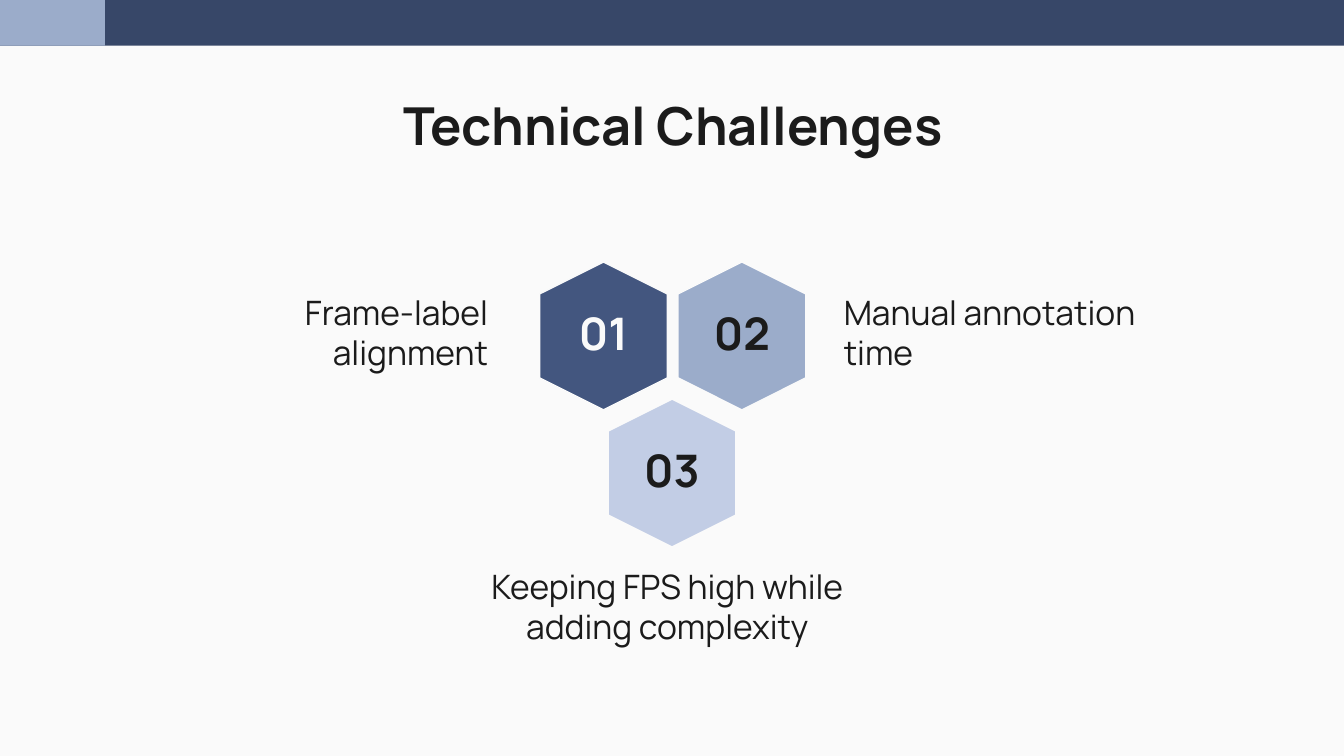
from pptx import Presentation
from pptx.dml.color import RGBColor
from pptx.enum.shapes import MSO_SHAPE
from pptx.enum.text import MSO_ANCHOR, MSO_AUTO_SIZE, PP_ALIGN
from pptx.util import Inches, Pt

RECTANGLE, HEXAGON = MSO_SHAPE.RECTANGLE, MSO_SHAPE.HEXAGON
TOP, BOTTOM = MSO_ANCHOR.TOP, MSO_ANCHOR.BOTTOM
LEFT, CENTER, RIGHT = PP_ALIGN.LEFT, PP_ALIGN.CENTER, PP_ALIGN.RIGHT
NO_FIT = MSO_AUTO_SIZE.NONE

FONT = "Manrope"
COLORS = {
    "paper": "FAFAFA",
    "ink": "1B1B1B",
    "bar": "374768",
    "dark": "43567F",
    "medium": "9BACCA",
    "light": "C2CDE5",
}

SLIDE_WIDTH = 10
SLIDE_HEIGHT = SLIDE_WIDTH * 9 / 16
TITLE = "Technical Challenges"
TITLE_AREA = (0.79, 0.59, 8.43, 0.63)
BARS = [(SLIDE_WIDTH, "bar"), (0.78, "medium")]
BAR_HEIGHT = 0.34
CHALLENGES = [
    {"number": "01", "center": (4.49, 2.5), "fill": "dark", "color": "paper",
     "text": "Frame-label alignment", "area": (1.17, 2.1, 2.56, 0.77), "align": RIGHT},
    {"number": "02", "center": (5.52, 2.5), "fill": "medium", "color": "ink",
     "text": "Manual annotation time", "area": (6.18, 2.17, 2.56, 0.7), "align": LEFT},
    {"number": "03", "center": (5, 3.52), "fill": "light", "color": "ink",
     "text": "Keeping FPS high while adding complexity",
     "area": (3.42, 3.87, 3.09, 1.04), "align": CENTER},
]
HEXAGON_SIZE = (1.1, 0.95)
NUMBER_SIZE = (0.77, 0.55)


def rgb(name):
    return RGBColor.from_string(COLORS[name])


def centered(center, size):
    return (center[0] - size[0] / 2, center[1] - size[1] / 2, *size)


def add_filled(slide, kind, area, fill):
    shape = slide.shapes.add_shape(kind, *map(Inches, area))
    shape.shadow.inherit = False
    shape.fill.solid()
    shape.fill.fore_color.rgb = rgb(fill)
    shape.line.fill.background()
    return shape


def add_hexagon(slide, center, fill):
    shape = add_filled(slide, HEXAGON, centered(center, HEXAGON_SIZE), fill)
    shape.rotation = 90
    shape.adjustments[0] = 0.25
    shape.adjustments[1] = 1.155
    shape.line.color.rgb = rgb("paper")
    shape.line.width = Pt(0.75)


def write(box, text, size, color, align, bold=False, anchor=BOTTOM):
    frame = box.text_frame
    frame.text = text
    frame.word_wrap = True
    frame.auto_size = NO_FIT
    frame.vertical_anchor = anchor
    frame.margin_left = frame.margin_right = Inches(0.1)
    frame.margin_top = frame.margin_bottom = Inches(0.1)
    para = frame.paragraphs[0]
    para.alignment = align
    para.line_spacing = 1.0
    font = para.runs[0].font
    font.name, font.size, font.bold = FONT, Pt(size), bold
    font.color.rgb = rgb(color)


def add_text(slide, area, *style, **options):
    write(slide.shapes.add_textbox(*map(Inches, area)), *style, **options)


def main():
    deck = Presentation()
    deck.slide_width, deck.slide_height = Inches(SLIDE_WIDTH), Inches(SLIDE_HEIGHT)
    slide = deck.slides.add_slide(deck.slide_layouts[5])
    slide.background.fill.solid()
    slide.background.fill.fore_color.rgb = rgb("paper")

    for width, fill in BARS:
        add_filled(slide, RECTANGLE, (0, 0, width, BAR_HEIGHT), fill)

    title = slide.shapes.title
    title.left, title.top, title.width, title.height = map(Inches, TITLE_AREA)
    write(title, TITLE, 28, "ink", CENTER, bold=True, anchor=TOP)

    for item in CHALLENGES:
        add_hexagon(slide, item["center"], item["fill"])
        add_text(slide, centered(item["center"], NUMBER_SIZE),
                 item["number"], 24, item["color"], CENTER, bold=True)
        add_text(slide, item["area"], item["text"], 18, "ink", item["align"])

    deck.save("out.pptx")


if __name__ == "__main__":
    main()
